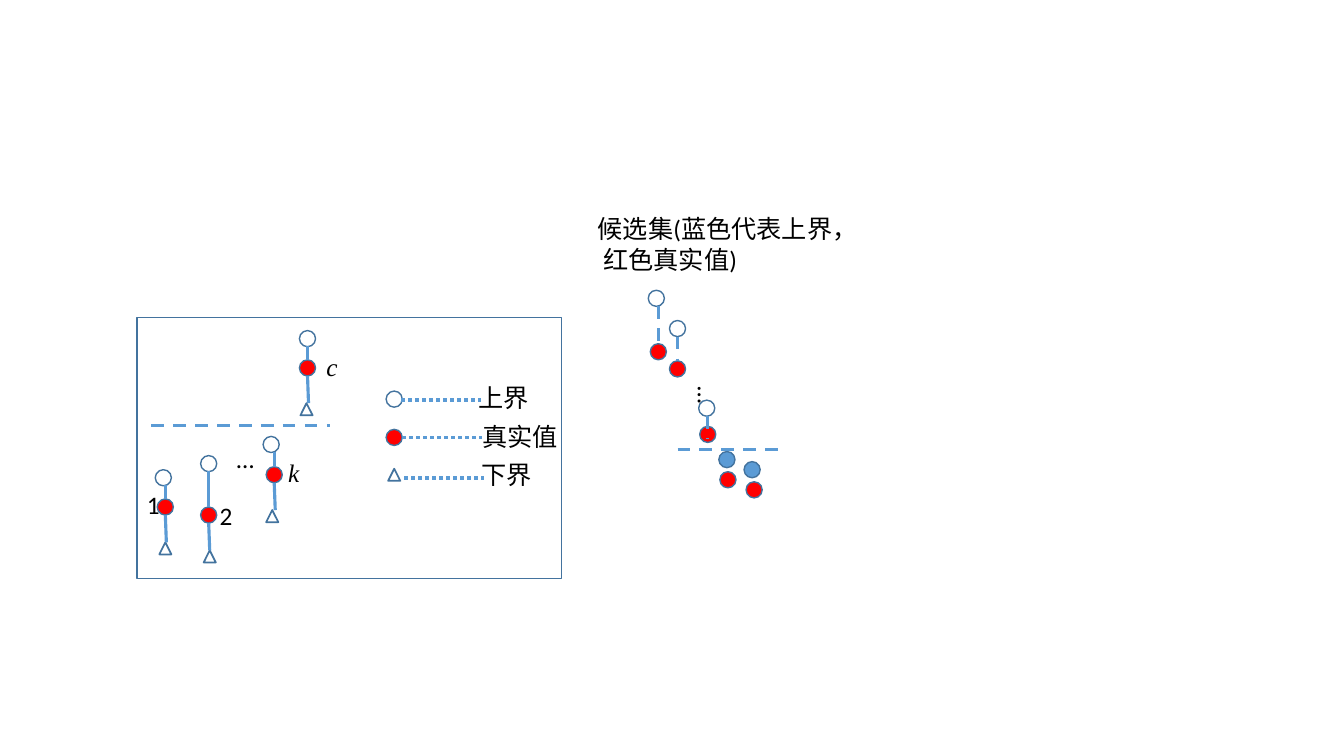
from pptx import Presentation
from pptx.dml.color import RGBColor
from pptx.enum.dml import MSO_LINE
from pptx.enum.shapes import MSO_CONNECTOR, MSO_SHAPE
from pptx.enum.text import MSO_AUTO_SIZE, PP_ALIGN
from pptx.oxml.ns import qn
from pptx.util import Pt

PX = 9144  # EMU per px, 100 px to the inch
COLORS = {"outline": "43739E", "blue": "5B9BD5", "red": "FF0000", "text": "000000"}
RECTANGLE = MSO_SHAPE.RECTANGLE
CIRCLE = MSO_SHAPE.OVAL
TRIANGLE = MSO_SHAPE.ISOSCELES_TRIANGLE
STRAIGHT = MSO_CONNECTOR.STRAIGHT
DASH = MSO_LINE.DASH
DOTS = MSO_LINE.ROUND_DOT
LEFT, CENTER = PP_ALIGN.LEFT, PP_ALIGN.CENTER
GROW = MSO_AUTO_SIZE.SHAPE_TO_FIT_TEXT

DOT = 16  # circle diameter
TIP = 12  # triangle size
BOUND_DROP = 43  # from the top of a true value to the top of its lower bound


def px(*lengths):
    return [length * PX for length in lengths]


def rgb(name):
    return RGBColor.from_string(COLORS[name])


def add_outlined(slide, kind, left, top, width, height, fill=None, weight=1):
    shape = slide.shapes.add_shape(kind, *px(left, top, width, height))
    shape.shadow.inherit = False
    if fill:
        shape.fill.solid()
        shape.fill.fore_color.rgb = rgb(fill)
    else:
        shape.fill.background()
    shape.line.color.rgb = rgb("outline")
    shape.line.width = Pt(weight)


def add_circle(slide, left, top, fill=None):
    add_outlined(slide, CIRCLE, left, top, DOT, DOT, fill)


def add_triangle(slide, left, top):
    add_outlined(slide, TRIANGLE, left, top, TIP, TIP, weight=1.25)


def add_line(slide, x1, y1, x2, y2, dash=None, weight=2.25):
    line = slide.shapes.add_connector(STRAIGHT, *px(x1, y1, x2, y2))
    line.line.color.rgb = rgb("blue")
    line.line.width = Pt(weight)
    if dash:
        line.line.dash_style = dash
    properties = line._element.spPr
    properties.append(properties.makeelement(qn("a:effectLst"), {}))


def add_text(slide, text, left, top, width=27, height=40, align=CENTER,
             font="Calibri", italic=False, vertical=False):
    box = slide.shapes.add_textbox(*px(left, top, width, height))
    frame = box.text_frame
    frame.word_wrap = True
    frame.auto_size = GROW
    if vertical:
        frame._txBody.bodyPr.set("vert", "eaVert")
    para = frame.paragraphs[0]
    para.alignment = align
    span = para.add_run()
    span.text = text
    span.font.size = Pt(18)
    span.font.name = font
    span.font.italic = italic
    span.font.color.rgb = rgb("text")


def add_interval(slide, upper, true, lower_x):
    """Draw an upper bound, a true value and a lower bound joined by a stem."""
    true_x, true_y = true
    stem_x, lower_y = true_x + DOT // 2, true_y + BOUND_DROP
    add_circle(slide, *upper)
    add_circle(slide, *true, fill="red")
    add_triangle(slide, lower_x, lower_y)
    add_line(slide, stem_x, upper[1] + DOT - 1, stem_x, true_y)
    add_line(slide, stem_x, true_y + DOT, stem_x + 1, lower_y)


def add_ranking(slide, box):
    left, top, width, height = box
    add_outlined(slide, RECTANGLE, left, top, width, height)
    # name, upper bound, true value, lower bound x, label
    intervals = [
        ("1", (18, 151), (20, 180), 22, (0, 166)),
        ("2", (63, 137), (63, 188), 66, (72, 176)),
        ("k", (125, 118), (128, 148), 128, (140, 134)),
        ("c", (161, 13), (161, 42), 162, (178, 29)),
    ]
    for name, upper, true, lower_x, label in intervals:
        add_interval(slide, (left + upper[0], top + upper[1]),
                     (left + true[0], top + true[1]), left + lower_x)
        variable = name.isalpha()
        add_text(slide, name, left + label[0], top + label[1], italic=variable,
                 font="Times New Roman" if variable else "Calibri")
    add_text(slide, "…", left + 89, top + 120)
    add_line(slide, left + 14, top + 107, left + 191, top + 107, dash=DASH)


def add_legend(slide, box):
    left, top, _, _ = box
    add_circle(slide, left, top + 14)
    add_circle(slide, left, top + 52, fill="red")
    add_triangle(slide, left + 2, top + 91)
    # name, label left, top and width, dotted line start and height
    rows = [
        ("上界", 74, 0, 85, 15, 23),
        ("真实值", 82, 39, 102, 16, 60),
        ("下界", 77, 77, 85, 18, 100),
    ]
    for name, label_x, label_y, label_width, line_x, line_y in rows:
        add_line(slide, left + line_x, top + line_y, left + line_x + 79,
                 top + line_y, dash=DOTS, weight=2.5)
        add_text(slide, name, left + label_x, top + label_y, label_width)


def add_candidates(slide, box):
    left, top, width, _ = box
    add_text(slide, "候选集(蓝色代表上界， 红色真实值)", left, top, width, 71, align=LEFT)
    # upper bound x and y, true value x and y, stem end
    kept = [
        (60, 81, 62, 134, 134),
        (81, 111, 81, 151, 151),
        (110, 190, 111, 216, 229),
    ]
    for upper_x, upper_y, true_x, true_y, stem_end in kept:
        stem_x = left + true_x + DOT // 2
        add_circle(slide, left + true_x, top + true_y, fill="red")
        add_circle(slide, left + upper_x, top + upper_y)
        add_line(slide, stem_x, top + upper_y + DOT, stem_x, top + stem_end, dash=DASH)
    add_text(slide, "…", left + 89, top + 167, 50, 33, align=LEFT, vertical=True)
    for upper_x, upper_y, true_x in [(130, 241, 131), (155, 251, 157)]:
        add_circle(slide, left + true_x, top + upper_y + 20, fill="red")
        add_circle(slide, left + upper_x, top + upper_y, fill="blue")
    add_line(slide, left + 89, top + 239, left + 197, top + 239, dash=DASH)


def main():
    deck = Presentation()
    deck.slide_width, deck.slide_height = px(1333, 750)
    slide = deck.slides.add_slide(deck.slide_layouts[6])
    add_candidates(slide, (583, 207, 259, 287))
    add_ranking(slide, (136, 315, 421, 259))
    add_legend(slide, (383, 374, 184, 117))
    deck.save("out.pptx")


if __name__ == "__main__":
    main()
